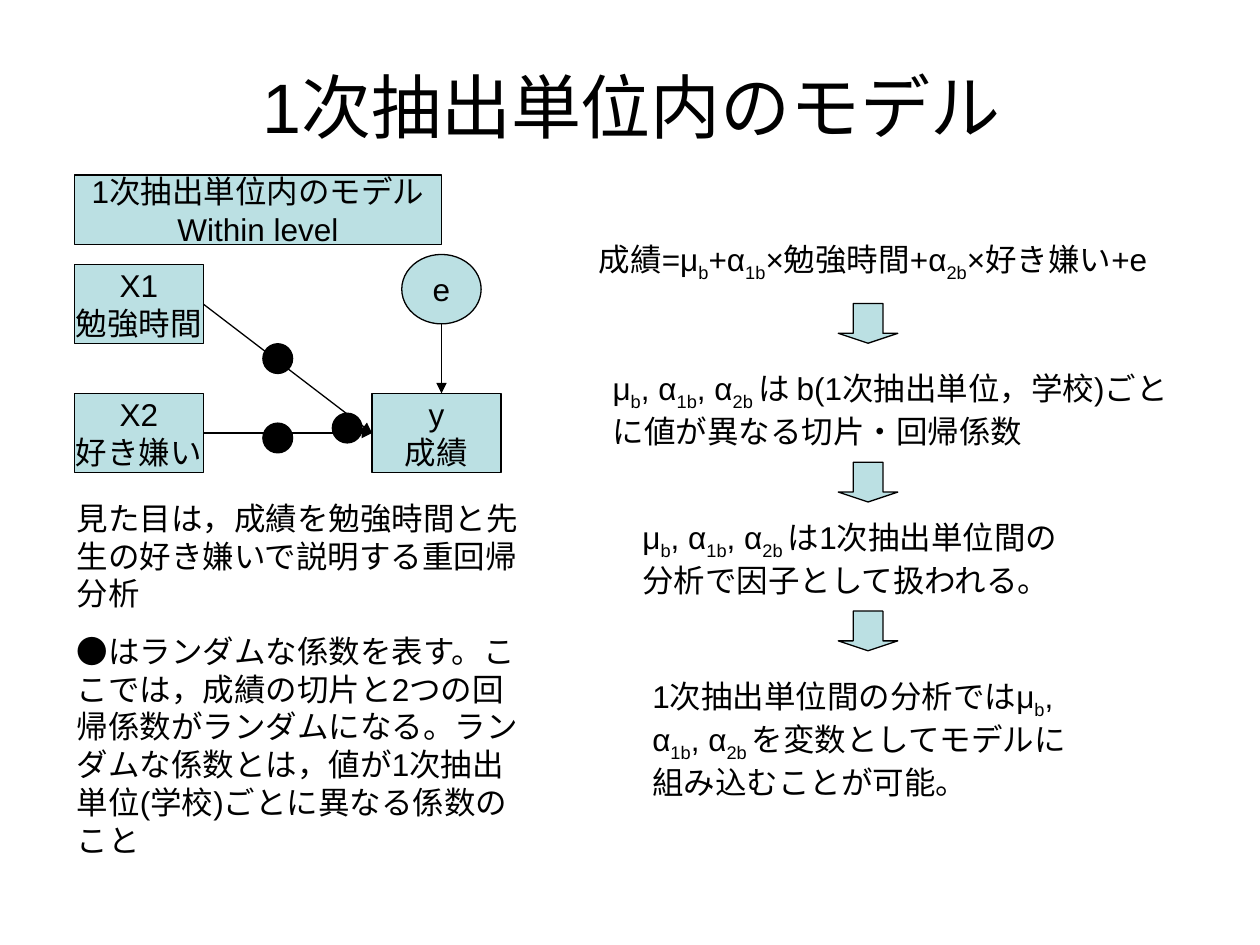
from lxml import etree
from pptx import Presentation
from pptx import util as u
from pptx.dml.color import RGBColor
from pptx.enum import shapes, text
from pptx.oxml.ns import qn

BLACK, PALE = "000000", "BBE0E3"
SHAPE = shapes.MSO_SHAPE
CENTER = text.PP_ALIGN.CENTER


def color(value):
    return RGBColor.from_string(value)


def format_run(r, size=18):
    r.font.name = "Arial"
    r.font.size = u.Pt(size)
    r.font.color.rgb = color(BLACK)


def fill_text(tf, lines, align=None, gap=0):
    """Write one paragraph per line; parts between bars are subscripts."""
    for i, line in enumerate(lines):
        p = tf.paragraphs[0] if i == 0 else tf.add_paragraph()
        p.alignment = align
        if i:
            p.space_before = u.Pt(gap)
        for j, part in enumerate(line.split("|")):
            r = p.add_run()
            r.text = part
            format_run(r)
            if j % 2:
                r.font._element.set("baseline", "-25000")


def add_text(slide, x, y, w, h, lines, align=None):
    tf = slide.shapes.add_textbox(u.Cm(x), u.Cm(y), u.Cm(w), u.Cm(h)).text_frame
    tf.word_wrap = True
    fill_text(tf, lines, align, gap=11.2)


def add_shape(slide, kind, x, y, w, h, lines=(), fill=PALE):
    sp = slide.shapes.add_shape(kind, u.Cm(x), u.Cm(y), u.Cm(w), u.Cm(h))
    sp.shadow.inherit = False
    sp.fill.solid()
    sp.fill.fore_color.rgb = color(fill)
    sp.line.color.rgb = color(BLACK)
    sp.line.width = u.Pt(0.75)
    if lines:
        sp.text_frame.word_wrap = False
        sp.text_frame.vertical_anchor = text.MSO_ANCHOR.MIDDLE
        fill_text(sp.text_frame, lines, CENTER)


def add_arrow(slide, x1, y1, x2, y2):
    line = slide.shapes.add_connector(
        shapes.MSO_CONNECTOR.STRAIGHT, u.Cm(x1), u.Cm(y1), u.Cm(x2), u.Cm(y2))
    line.line.color.rgb = color(BLACK)
    line.line.width = u.Pt(0.75)
    etree.SubElement(line.line._get_or_add_ln(), qn("a:tailEnd"), type="triangle")
    etree.SubElement(line._element.spPr, qn("a:effectLst"))


def place_title(slide, x, y, w, h):
    sp = slide.shapes.title
    sp.left, sp.top, sp.width, sp.height = (u.Cm(v) for v in (x, y, w, h))
    sp.text_frame.text = "1次抽出単位内のモデル"
    sp.text_frame.vertical_anchor = text.MSO_ANCHOR.MIDDLE
    p = sp.text_frame.paragraphs[0]
    p.alignment = CENTER
    format_run(p.runs[0], 40)


def path_diagram(slide, x, y):
    box_w, box_h, dot = 2.6, 1.6, 0.6
    add_shape(slide, SHAPE.RECTANGLE, x, y, 7.4, 1.4,
              ["1次抽出単位内のモデル", "Within level"])
    for dx, dy, lines in [(0, 1.8, ["X1", "勉強時間"]),
                          (6, 4.4, ["y", "成績"]),
                          (0, 4.4, ["X2", "好き嫌い"])]:
        add_shape(slide, SHAPE.RECTANGLE, x + dx, y + dy, box_w, box_h, lines)
    for dy in (1.8, 4.4):
        add_arrow(slide, x + box_w, y + dy + box_h / 2, x + 6, y + 4.4 + box_h / 2)
    add_shape(slide, SHAPE.OVAL, x + 6.6, y + 1.6, 1.6, 1.4, ["e"])
    add_arrow(slide, x + 7.4, y + 3, x + 7.4, y + 4.4)
    for dx, dy in [(5.2, 4.8), (3.8, 3.4), (3.8, 5)]:
        add_shape(slide, SHAPE.OVAL, x + dx, y + dy, dot, dot, fill=BLACK)


def explanation(slide, x, y, w, h):
    add_text(slide, x, y, w, h, [
        "見た目は，成績を勉強時間と先生の好き嫌いで説明する重回帰分析",
        "●はランダムな係数を表す。ここでは，成績の切片と2つの回帰係数がランダムになる。"
        "ランダムな係数とは，値が1次抽出単位(学校)ごとに異なる係数のこと"])


def reasoning_steps(slide, x, y, w):
    """Formula and its consequences, joined by block arrows."""
    terms = "μ|b|, α|1b|, α|2b |"
    add_text(slide, x, y, w, 1.1, ["成績=μ|b|+α|1b|×勉強時間+α|2b|×好き嫌い+e"], CENTER)
    for dx, dy, width, height, line in [
            (2.3, 2.6, 11.8, 1.9,
             terms + "は b(1次抽出単位，学校)ごとに値が異なる切片・回帰係数"),
            (2.9, 5.6, 9.2, 1.9, terms + "は1次抽出単位間の分析で因子として扱われる。"),
            (3.1, 8.8, 9.2, 2.7,
             "1次抽出単位間の分析では" + terms + "を変数としてモデルに組み込むことが可能。")]:
        add_text(slide, x + dx, y + dy, width, height, [line])
    for dy in (1.4, 4.6, 7.6):
        add_shape(slide, SHAPE.DOWN_ARROW, x + 7.1, y + dy, 1.2, 0.8)
        slide.shapes[-1].adjustments[1] = 0.25


def main():
    prs = Presentation()
    prs.slide_width, prs.slide_height = u.Cm(25.4), u.Cm(19.05)
    slide = prs.slides.add_slide(prs.slide_layouts[5])
    place_title(slide, 1.3, 0.53, 22.86, 3.18)
    explanation(slide, 1.3, 9.93, 9.4, 7.52)
    reasoning_steps(slide, 9.8, 4.72, 15.6)
    path_diagram(slide, 1.5, 3.53)
    prs.save("out.pptx")


if __name__ == "__main__":
    main()
